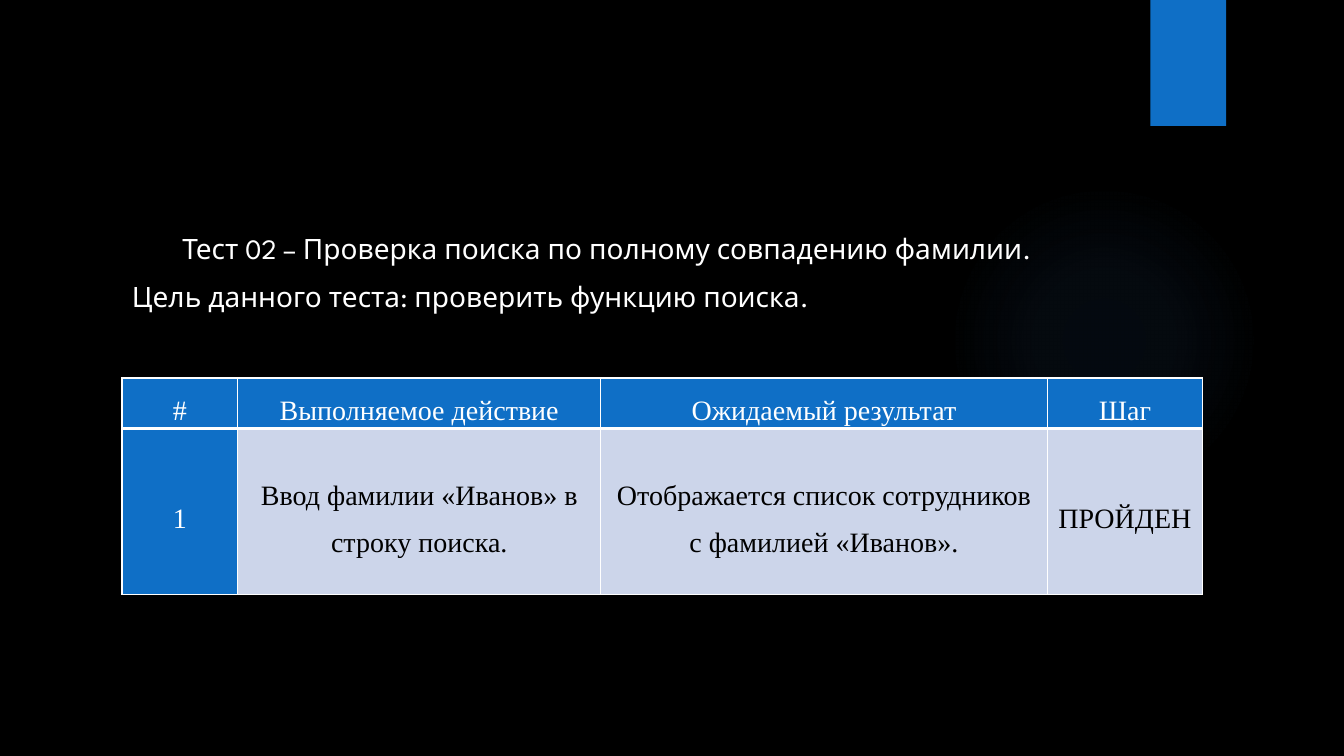
from lxml import etree
from pptx import Presentation
from pptx.dml.color import RGBColor
from pptx.enum import shapes, text
from pptx.oxml import ns
from pptx.util import Pt

INTRO = [
    ("Тест 02 – Проверка поиска по полному совпадению фамилии.", 36),
    ("Цель данного теста: проверить функцию поиска.", 0),
]
ROWS = [
    ["#", "Выполняемое действие", "Ожидаемый результат", "Шаг"],
    ["1", "Ввод фамилии «Иванов» в строку поиска.",
     "Отображается список сотрудников с фамилией «Иванов».", "ПРОЙДЕН"],
]
WIDTHS = [82.8, 259.2, 319, 110.9]
HEIGHTS = [36, 118.8]
GLOW = [(0, 7), (36, 6), (69, 0)]

BLACK = RGBColor(0, 0, 0)
WHITE = RGBColor(255, 255, 255)
BLUE = RGBColor(0x0F, 0x6F, 0xC6)
PALE = RGBColor(0xCC, 0xD5, 0xEA)
LIGHT = RGBColor(0x44, 0x8A, 0xD7)


def add(parent, tag, **attrs):
    node = etree.SubElement(parent, ns.qn(tag))
    for name, value in attrs.items():
        node.set(name, str(value))
    return node


def solid(fill, color):
    fill.solid()
    fill.fore_color.rgb = color


def style(para, face, color):
    para.font.name = face
    para.font.size = Pt(20)
    para.font.color.rgb = color


def plain(slide, kind, x, y, w, h):
    shape = slide.shapes.add_shape(kind, Pt(x), Pt(y), Pt(w), Pt(h))
    shape.shadow.inherit = False
    shape.line.fill.background()
    return shape


def draw_glow(slide):
    disc = plain(slide, shapes.MSO_SHAPE.OVAL, 677.5, 131.8, 221.8, 221.8)
    disc.fill.gradient()
    grad = disc.fill._xPr.find(ns.qn("a:gradFill"))
    for child in list(grad):
        grad.remove(child)
    stops = add(grad, "a:gsLst")
    for place, alpha in GLOW:
        stop = add(stops, "a:gs", pos=place * 1000)
        color = add(stop, "a:srgbClr", val=LIGHT)
        add(color, "a:alpha", val=alpha * 1000)
    way = add(grad, "a:path", path="circle")
    add(way, "a:fillToRect", l=50000, t=50000, r=50000, b=50000)


def draw_intro(slide):
    frame = slide.shapes.add_textbox(Pt(87.1), Pt(162), Pt(704.2), Pt(330.5)).text_frame
    frame.word_wrap = True
    for i, (line, indent) in enumerate(INTRO):
        para = frame.add_paragraph() if i else frame.paragraphs[0]
        para.text = line
        para.space_before = Pt(10)
        para._p.get_or_add_pPr().set("indent", str(Pt(indent)))
        style(para, "League Spartan", WHITE)


def border(cell, sides):
    props = cell._tc.get_or_add_tcPr()
    for i, (side, width) in enumerate(sides.items()):
        line = etree.Element(ns.qn("a:ln" + side), w=str(Pt(width)))
        add(add(line, "a:solidFill"), "a:srgbClr", val=WHITE)
        props.insert(i, line)


def draw_table(slide):
    frame = slide.shapes.add_table(len(ROWS), len(WIDTHS), Pt(87.1), Pt(270),
                                   Pt(sum(WIDTHS)), Pt(sum(HEIGHTS)))
    table = frame.table
    for col, width in zip(table.columns, WIDTHS):
        col.width = Pt(width)
    for r, row in enumerate(ROWS):
        table.rows[r].height = Pt(HEIGHTS[r])
        for c, words in enumerate(row):
            head = r == 0 or c == 0
            cell = table.cell(r, c)
            cell.text = words
            cell.vertical_anchor = text.MSO_ANCHOR.MIDDLE
            cell.margin_left = cell.margin_right = Pt(5)
            cell.margin_top = cell.margin_bottom = 0
            solid(cell.fill, BLUE if head else PALE)
            para = cell.text_frame.paragraphs[0]
            para.alignment = text.PP_ALIGN.CENTER
            para.line_spacing = 1.5
            para.space_after = Pt(10 if head else 0)
            style(para, "Times New Roman", WHITE if head else BLACK)
            border(cell, {"L": 1, "R": 1, "T": 3 if r else 1, "B": 1 if r else 3})


def main():
    deck = Presentation()
    deck.slide_width, deck.slide_height = Pt(960), Pt(540)
    slide = deck.slides.add_slide(deck.slide_layouts[6])
    solid(slide.background.fill, BLACK)
    draw_glow(slide)
    flag = plain(slide, shapes.MSO_SHAPE.RECTANGLE, 821.8, 0, 54, 90)
    solid(flag.fill, BLUE)
    draw_intro(slide)
    draw_table(slide)
    deck.save("out.pptx")


if __name__ == "__main__":
    main()
